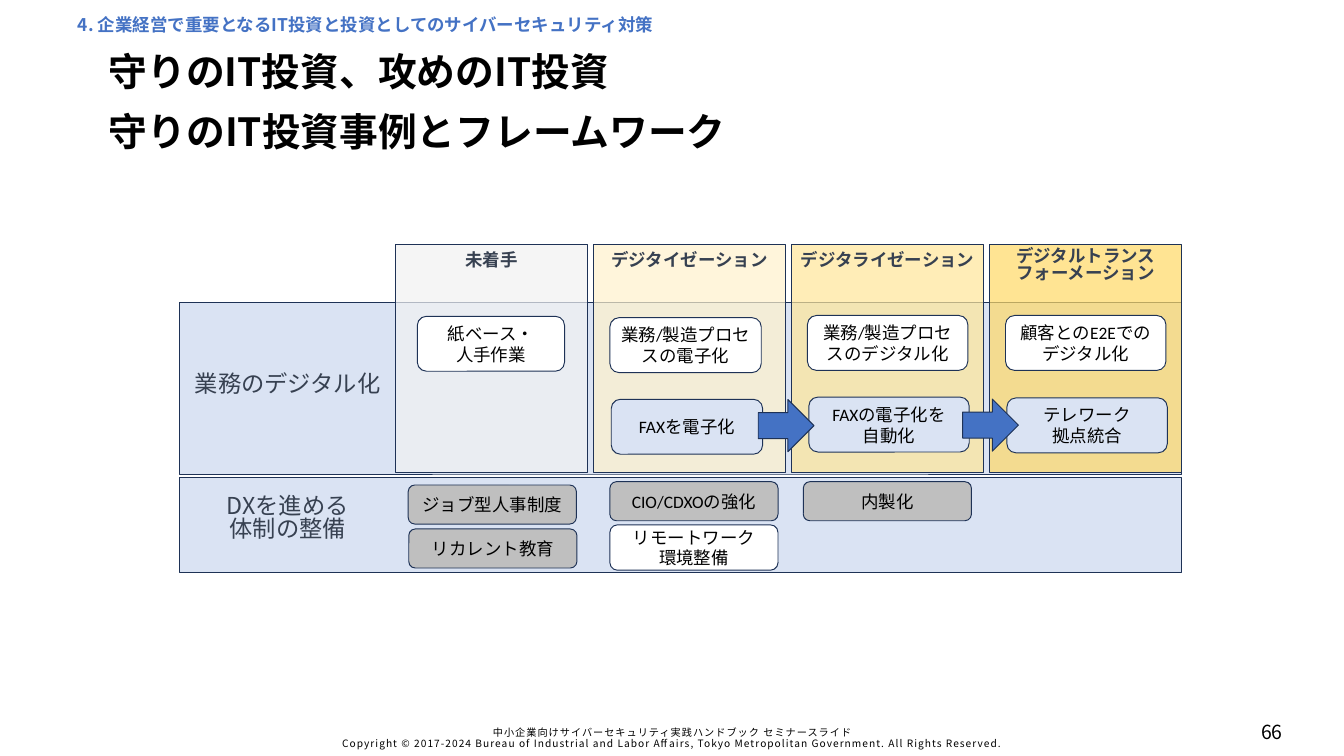
from dataclasses import dataclass

from lxml import etree
from pptx import Presentation
from pptx.dml.color import RGBColor
from pptx.enum.shapes import MSO_SHAPE
from pptx.enum.text import MSO_ANCHOR, MSO_AUTO_SIZE, PP_ALIGN
from pptx.oxml.ns import qn
from pptx.shapes.autoshape import Shape
from pptx.slide import Slide
from pptx.text.text import TextFrame
from pptx.util import Cm, Pt

RECTANGLE = MSO_SHAPE.RECTANGLE
ROUNDED = MSO_SHAPE.ROUNDED_RECTANGLE
RIGHT_ARROW = MSO_SHAPE.RIGHT_ARROW
TOP, MIDDLE = MSO_ANCHOR.TOP, MSO_ANCHOR.MIDDLE
LEFT, CENTER = PP_ALIGN.LEFT, PP_ALIGN.CENTER
FIXED_SIZE = MSO_AUTO_SIZE.NONE

BLACK = RGBColor(0x00, 0x00, 0x00)
WHITE = RGBColor(0xFF, 0xFF, 0xFF)
BLUE = RGBColor(0x44, 0x72, 0xC4)
PALE_BLUE = RGBColor(0xDA, 0xE3, 0xF3)
NAVY = RGBColor(0x1E, 0x32, 0x56)
SLATE = RGBColor(0x37, 0x41, 0x51)
GRAY = RGBColor(0xBF, 0xBF, 0xBF)
PALE_GRAY = RGBColor(0xF2, 0xF2, 0xF2)
CREAM = RGBColor(0xFF, 0xF2, 0xCC)
LIGHT_GOLD = RGBColor(0xFF, 0xE6, 0x99)
GOLD = RGBColor(0xFF, 0xD9, 0x66)

NOTO = "Noto Sans CJK JP"
CALIBRI = "Calibri"


@dataclass(frozen=True)
class Box:
    left: float
    top: float
    width: float
    height: float


@dataclass(frozen=True)
class TextStyle:
    size: float
    color: RGBColor = BLACK
    bold: bool = False
    font: str = NOTO
    align: PP_ALIGN = CENTER
    anchor: MSO_ANCHOR = MIDDLE
    line_spacing: float | Pt | None = None
    tracking: int = 0


@dataclass(frozen=True)
class Row:
    label: str
    box: Box
    label_top: float


@dataclass(frozen=True)
class Stage:
    name: str
    fill: RGBColor
    inset_top: float


@dataclass(frozen=True)
class Card:
    text: str
    box: Box
    fill: RGBColor


TITLE = TextStyle(40, bold=True, align=LEFT, line_spacing=0.9)
CHAPTER = TextStyle(18, BLUE, True, align=LEFT, anchor=TOP, line_spacing=Pt(15))
ROW_LABEL = TextStyle(24, SLATE, anchor=TOP, line_spacing=0.83)
STAGE_NAME = TextStyle(18, SLATE, True, anchor=TOP, line_spacing=0.83)
CARD = TextStyle(18, font=CALIBRI)
FOOTER = TextStyle(10.5, line_spacing=0.91, tracking=110)
PAGE_NUMBER = TextStyle(20)

ROWS = [
    Row("DXを進める\n体制の整備", Box(6.53, 17.37, 36.47, 3.48), 17.93),
    Row("業務のデジタル化", Box(6.53, 11, 36.47, 6.25), 13.49),
]
STAGES = [
    Stage("未着手", PALE_GRAY, 0.3),
    Stage("デジタイゼーション", CREAM, 0.3),
    Stage("デジタライゼーション", LIGHT_GOLD, 0.3),
    Stage("デジタルトランスフォーメーション", GOLD, 0.13),
]
STAGE_LEFT, STAGE_TOP, STAGE_PITCH = 14.38, 8.9, 7.21
STAGE_WIDTH, STAGE_HEIGHT = 7.01, 8.28

CARDS = [
    Card("紙ベース・\n人手作業", Box(15.19, 11.51, 5.36, 2), WHITE),
    Card("業務/製造プロセスの電子化", Box(22.2, 11.56, 5.51, 2), WHITE),
    Card("業務/製造プロセスのデジタル化", Box(29.39, 11.48, 5.84, 2), WHITE),
    Card("顧客とのE2Eでの\nデジタル化", Box(36.6, 11.48, 5.84, 2), WHITE),
    Card("ジョブ型人事制度", Box(14.86, 17.65, 6.12, 1.42), GRAY),
    Card("リカレント教育", Box(14.88, 19.25, 6.12, 1.42), GRAY),
    Card("CIO/CDXOの強化", Box(22.2, 17.53, 6.12, 1.42), GRAY),
    Card("リモートワーク\n環境整備", Box(22.2, 19.1, 6.12, 1.65), WHITE),
    Card("内製化", Box(29.24, 17.53, 6.12, 1.42), GRAY),
    Card("FAXを電子化", Box(22.25, 14.53, 5.51, 2), PALE_BLUE),
    Card("FAXの電子化を\n自動化", Box(29.44, 14.45, 5.84, 2), PALE_BLUE),
    Card("テレワーク\n拠点統合", Box(36.65, 14.48, 5.84, 2), PALE_BLUE),
]
ARROWS = [Box(27.6, 14.54, 2.03, 1.9), Box(35.04, 14.52, 2.03, 1.9)]


def write(frame: TextFrame, text: str, style: TextStyle) -> None:
    frame.word_wrap = True
    frame.auto_size = FIXED_SIZE
    frame.vertical_anchor = style.anchor
    for index, line in enumerate(text.split("\n")):
        paragraph = frame.add_paragraph() if index else frame.paragraphs[0]
        paragraph.alignment = style.align
        paragraph.space_before = Pt(0)
        if style.line_spacing:
            paragraph.line_spacing = style.line_spacing
        run = paragraph.add_run()
        run.text = line
        run.font.size = Pt(style.size)
        run.font.bold = style.bold
        run.font.color.rgb = style.color
        run.font.name = style.font
        properties = run.font._element
        if style.font == NOTO:
            etree.SubElement(properties, qn("a:ea"), typeface=NOTO)
        if style.tracking:
            properties.set("spc", str(style.tracking))


def add_text(slide: Slide, box: Box, text: str, style: TextStyle) -> TextFrame:
    frame = slide.shapes.add_textbox(
        Cm(box.left), Cm(box.top), Cm(box.width), Cm(box.height)
    ).text_frame
    write(frame, text, style)
    return frame


def add_block(slide: Slide, kind: MSO_SHAPE, box: Box, fill: RGBColor) -> Shape:
    block = slide.shapes.add_shape(
        kind, Cm(box.left), Cm(box.top), Cm(box.width), Cm(box.height)
    )
    block.shadow.inherit = False
    block.fill.solid()
    block.fill.fore_color.rgb = fill
    block.line.color.rgb = NAVY
    block.line.width = Pt(1)
    return block


def add_headings(slide: Slide) -> None:
    chapter = add_text(
        slide, Box(2.84, 0.71, 44.4, 0.64),
        "4. 企業経営で重要となるIT投資と投資としてのサイバーセキュリティ対策", CHAPTER,
    )
    chapter.margin_left = chapter.margin_right = chapter.margin_bottom = 0
    chapter.margin_top = Cm(0.03)
    add_text(slide, Box(3.71, 1.93, 41.5, 1.55), "守りのIT投資、攻めのIT投資", TITLE)
    title = slide.shapes.title
    title.left, title.top = Cm(3.71), Cm(4.09)
    title.width, title.height = Cm(41.5), Cm(1.55)
    write(title.text_frame, "守りのIT投資事例とフレームワーク", TITLE)


def add_framework(slide: Slide) -> None:
    for row in ROWS:
        add_block(slide, RECTANGLE, row.box, PALE_BLUE)
        add_text(slide, Box(6.05, row.label_top, 8.84, 1.27), row.label, ROW_LABEL)
    for index, stage in enumerate(STAGES):
        left = STAGE_LEFT + index * STAGE_PITCH
        box = Box(left, STAGE_TOP, STAGE_WIDTH, STAGE_HEIGHT)
        column = add_block(slide, RECTANGLE, box, stage.fill)
        color = column.fill._xPr.find(f".//{qn('a:srgbClr')}")
        etree.SubElement(color, qn("a:alpha"), val="70000")
        write(column.text_frame, stage.name, STAGE_NAME)
        column.text_frame.margin_top = Cm(stage.inset_top)
    for card in CARDS:
        block = add_block(slide, ROUNDED, card.box, card.fill)
        write(block.text_frame, card.text, CARD)
    for arrow in ARROWS:
        add_block(slide, RIGHT_ARROW, arrow, BLUE)


def main() -> None:
    presentation = Presentation()
    presentation.slide_width, presentation.slide_height = Cm(48.92), Cm(27.51)
    slide = presentation.slides.add_slide(presentation.slide_layouts[5])
    add_headings(slide)
    add_framework(slide)
    add_text(
        slide, Box(9.5, 26.24, 29.95, 1.3),
        "中小企業向けサイバーセキュリティ実践ハンドブック セミナースライド\n"
        "Copyright © 2017-2024 Bureau of Industrial and Labor Affairs, "
        "Tokyo Metropolitan Government. All Rights Reserved.",
        FOOTER,
    )
    add_text(slide, Box(44.15, 26.14, 4.29, 0.97), "66", PAGE_NUMBER)
    presentation.save("out.pptx")


if __name__ == "__main__":
    main()
